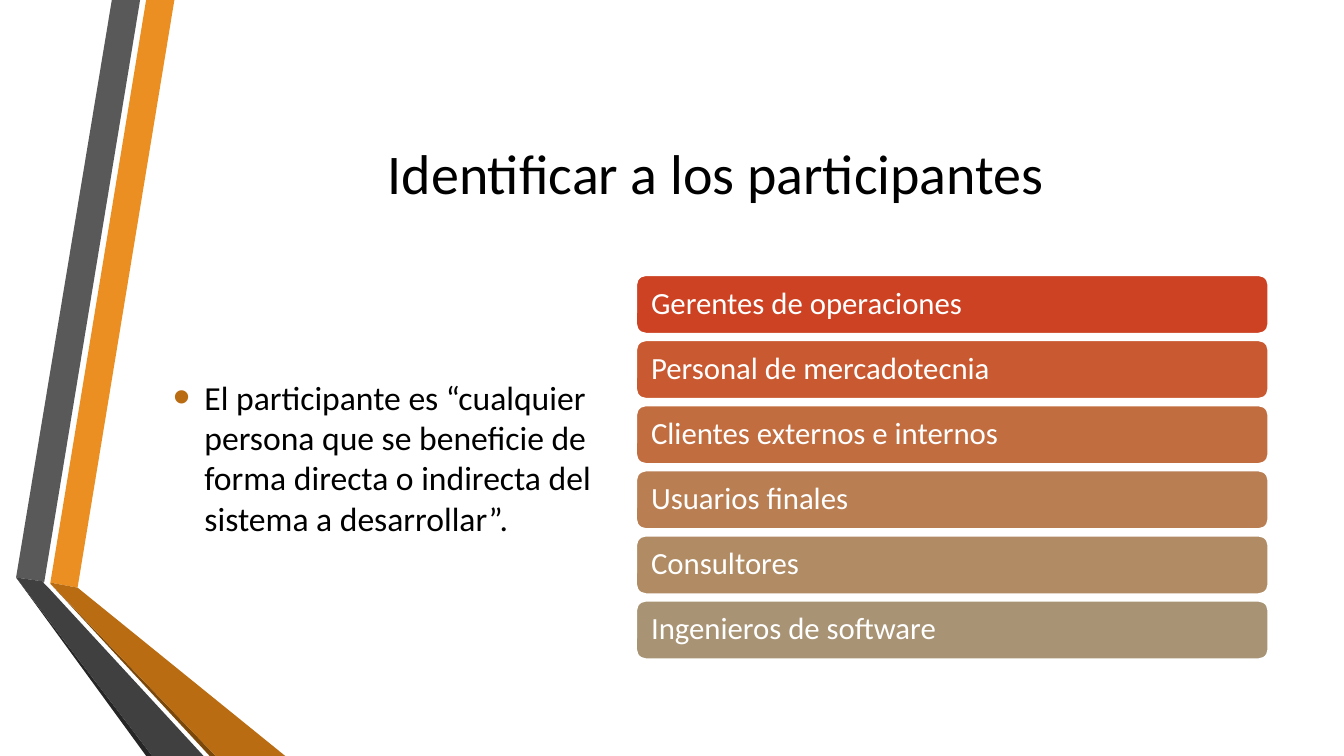
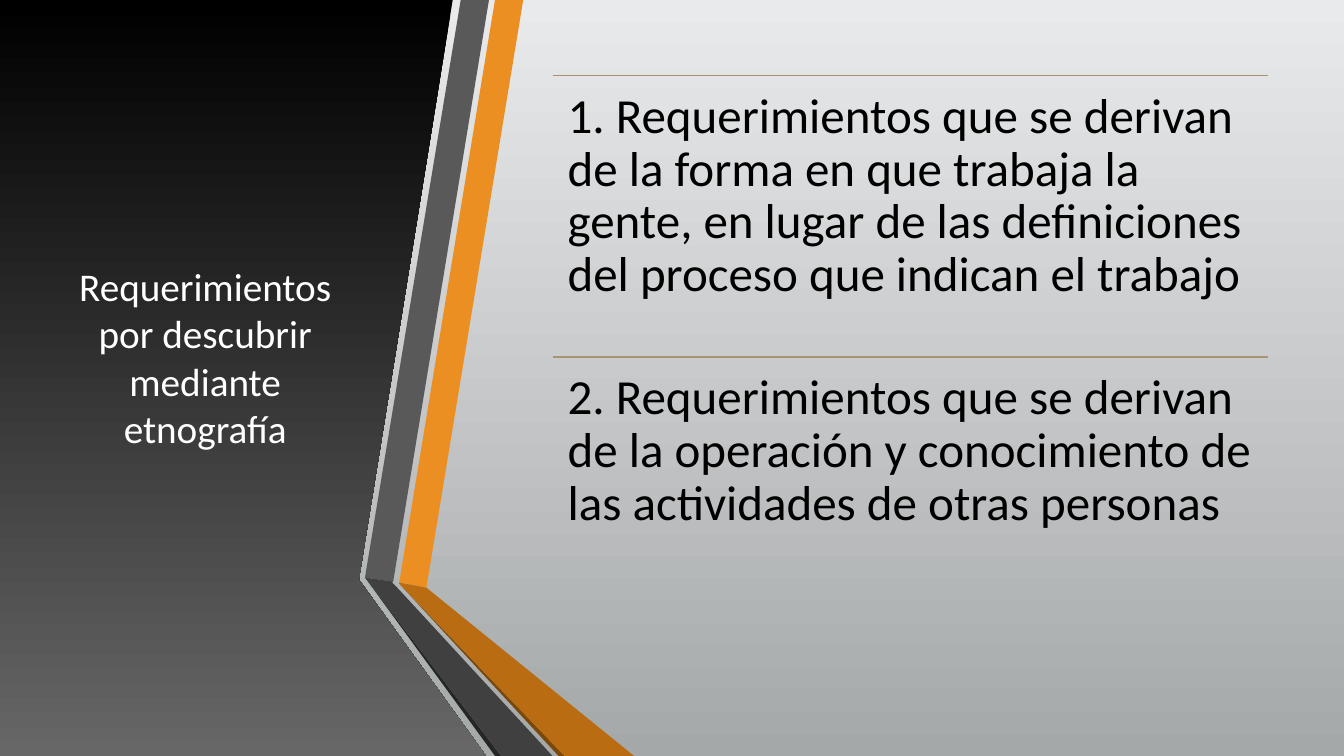
from lxml import etree
from pptx import Presentation
from pptx.dml.color import RGBColor
from pptx.enum.shapes import MSO_CONNECTOR, MSO_SHAPE
from pptx.enum.text import MSO_ANCHOR, PP_ALIGN
from pptx.oxml.ns import qn
from pptx.util import Inches, Pt

ROUNDED = MSO_SHAPE.ROUNDED_RECTANGLE
STRAIGHT = MSO_CONNECTOR.STRAIGHT
TOP, MIDDLE = MSO_ANCHOR.TOP, MSO_ANCHOR.MIDDLE
LEFT, CENTER = PP_ALIGN.LEFT, PP_ALIGN.CENTER

THEME = {
    "font": "Calibri",
    "title_size": 40,
    "side_title_size": 28,
    "body_size": 24,
    "card_size": 22,
    "statement_size": 35,
    "line_width": 1.25,
    "dark": "000000",
    "light": "FFFFFF",
    "bullet": "B96C11",
    "rule": "A89374",
    "background": ("E9EAEB", "A5A8A9"),
    "panel": ("000000", "676767"),
    "cards": ("CD4223", "C95930", "C26D40", "B97E52", "B08B63", "A89374"),
    "ribbon": {
        "orange": "EB8F22",
        "gray": "595959",
        "gray_edge": "262626",
        "orange_edge": "7B480B",
        "orange_fold": "B96C11",
        "gray_fold": "404040",
    },
}

RIBBON = {
    "orange": [(0.5, 5.78), (0.77, 5.83), (1.73, 0), (1.45, 0)],
    "gray": [(1.39, 0), (1.11, 0), (0.16, 5.73), (0.44, 5.77)],
    "gray_edge": [(0.16, 5.73), (1.45, 7.5), (1.51, 7.5)],
    "orange_edge": [(0.5, 5.79), (2.08, 7.5), (2.14, 7.5)],
    "orange_fold": [(0.5, 5.79), (2.14, 7.5), (2.83, 7.5), (0.77, 5.83), (0.5, 5.78)],
    "gray_fold": [(2.02, 7.5), (0.48, 5.83), (0.43, 5.78), (0.44, 5.77), (0.16, 5.73), (1.51, 7.5)],
}
PANEL = [(0, 0), (4.49, 0), (3.56, 5.75), (4.82, 7.5), (0, 7.5)]


def add_outline(slide, points, offset=0):
    corners = [(Inches(x + offset), Inches(y)) for x, y in points]
    builder = slide.shapes.build_freeform(*corners[0])
    builder.add_line_segments(corners[1:], close=True)
    shape = builder.convert_to_shape()
    shape.shadow.inherit = False
    shape.line.fill.background()
    return shape


def write_text(shape, text, size, color, anchor=MIDDLE, align=LEFT):
    frame = shape.text_frame
    frame.word_wrap = True
    frame.vertical_anchor = anchor
    frame.text = text
    paragraph = frame.paragraphs[0]
    paragraph.alignment = align
    font = paragraph.runs[0].font
    font.name = THEME["font"]
    font.size = Pt(size)
    font.color.rgb = RGBColor.from_string(color)
    return paragraph


presentation = Presentation()
presentation.slide_width = Inches(13.33)
presentation.slide_height = Inches(7.5)
blank = presentation.slide_layouts[6]
participants = presentation.slides.add_slide(blank)
ethnography = presentation.slides.add_slide(blank)

panel = add_outline(ethnography, PANEL)
for fill, colors in ((ethnography.background.fill, THEME["background"]), (panel.fill, THEME["panel"])):
    fill.gradient()
    fill.gradient_angle = 270
    for stop, color in zip(fill.gradient_stops, colors):
        stop.color.rgb = RGBColor.from_string(color)

for slide, offset in ((participants, 0), (ethnography, 3.46)):
    for name, points in RIBBON.items():
        strip = add_outline(slide, points, offset)
        strip.fill.solid()
        strip.fill.fore_color.rgb = RGBColor.from_string(THEME["ribbon"][name])

title = participants.shapes.add_textbox(Inches(1.62), Inches(0.75), Inches(10.96), Inches(1.92))
write_text(title, "Identificar a los participantes", THEME["title_size"], THEME["dark"], align=CENTER)

definition = participants.shapes.add_textbox(Inches(1.62), Inches(2.92), Inches(4.8), Inches(3.23))
paragraph = write_text(
    definition,
    "El participante es “cualquier persona que se beneficie de forma directa o indirecta del sistema a desarrollar”.",
    THEME["body_size"],
    THEME["dark"],
)
paragraph.space_after = Pt(6)
properties = paragraph._p.get_or_add_pPr()
properties.set("marL", str(Inches(0.31)))
properties.set("indent", str(-Inches(0.31)))
bullet_color = etree.SubElement(properties, qn("a:buClr"))
etree.SubElement(bullet_color, qn("a:srgbClr"), val=THEME["bullet"])
etree.SubElement(properties, qn("a:buSzPct"), val="145000")
etree.SubElement(properties, qn("a:buFont"), typeface="Arial")
etree.SubElement(properties, qn("a:buChar"), char="•")

roles = (
    "Gerentes de operaciones",
    "Personal de mercadotecnia",
    "Clientes externos e internos",
    "Usuarios finales",
    "Consultores",
    "Ingenieros de software",
)
cards_top, cards_bottom, card_height = 2.73, 6.54, 0.58
card_pitch = (cards_bottom - cards_top - card_height) / (len(roles) - 1)
for index, (role, color) in enumerate(zip(roles, THEME["cards"])):
    card = participants.shapes.add_shape(
        ROUNDED, Inches(6.31), Inches(cards_top + index * card_pitch), Inches(6.27), Inches(card_height)
    )
    card.shadow.inherit = False
    card.fill.solid()
    card.fill.fore_color.rgb = RGBColor.from_string(color)
    card.line.color.rgb = RGBColor.from_string(THEME["light"])
    card.line.width = Pt(THEME["line_width"])
    card.text_frame.margin_left = Inches(0.12)
    paragraph = write_text(card, role, THEME["card_size"], THEME["light"])
    paragraph.line_spacing = 0.9

side_title = ethnography.shapes.add_textbox(Inches(0.59), Inches(0.75), Inches(2.89), Inches(5.58))
write_text(
    side_title,
    "Requerimientos por descubrir mediante etnografía",
    THEME["side_title_size"],
    THEME["light"],
    align=CENTER,
)

statements = (
    "1. Requerimientos que se derivan de la forma en que trabaja la gente, en lugar de las definiciones del proceso que indican el trabajo",
    "2. Requerimientos que se derivan de la operación y conocimiento de las actividades de otras personas",
)
left, width, height = Inches(5.48), Inches(7.1), Inches(2.79)
for index, statement in enumerate(statements):
    top = Inches(0.75) + index * height
    rule = ethnography.shapes.add_connector(STRAIGHT, left, top, left + width, top)
    rule.line.color.rgb = RGBColor.from_string(THEME["rule"])
    rule.line.width = Pt(THEME["line_width"])
    etree.SubElement(rule._element.spPr, qn("a:effectLst"))
    box = ethnography.shapes.add_textbox(left, top, width, height)
    frame = box.text_frame
    frame.margin_left = frame.margin_right = frame.margin_top = frame.margin_bottom = Inches(0.15)
    paragraph = write_text(box, statement, THEME["statement_size"], THEME["dark"], anchor=TOP)
    paragraph.line_spacing = 0.9

presentation.save("out.pptx")
